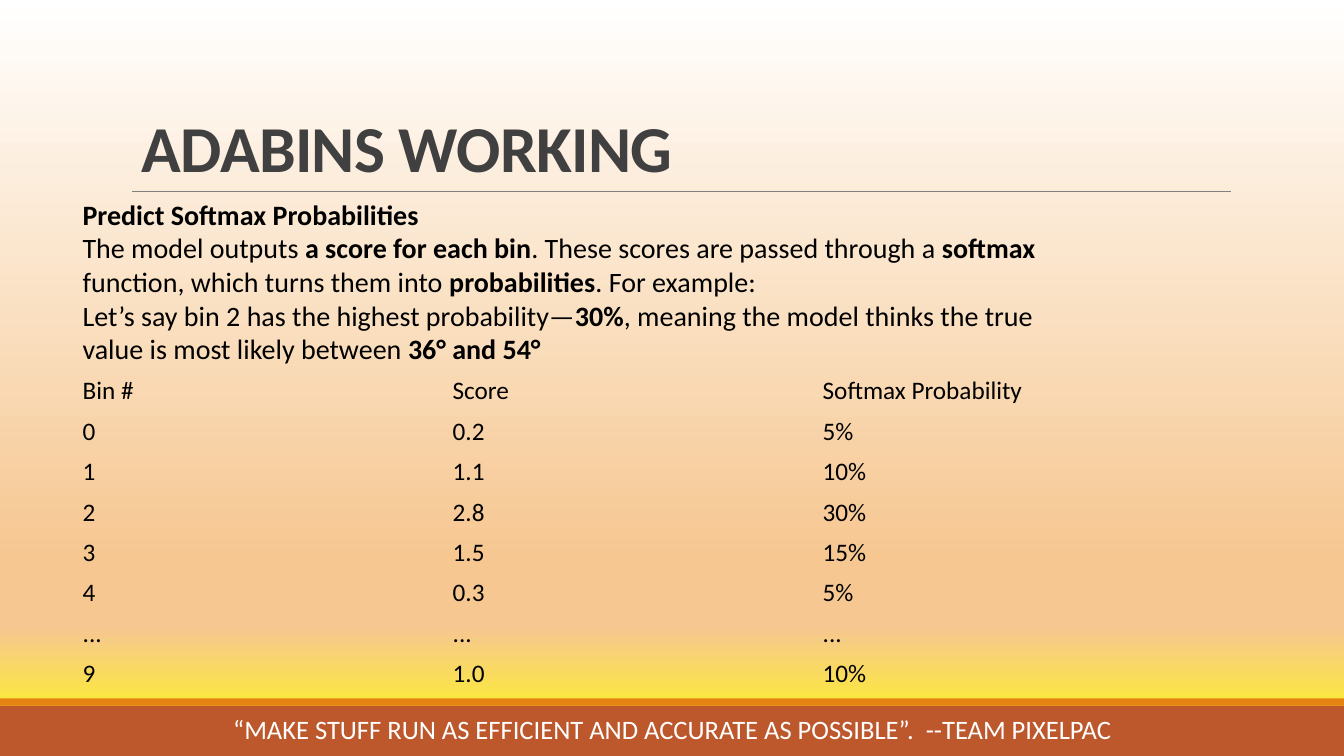
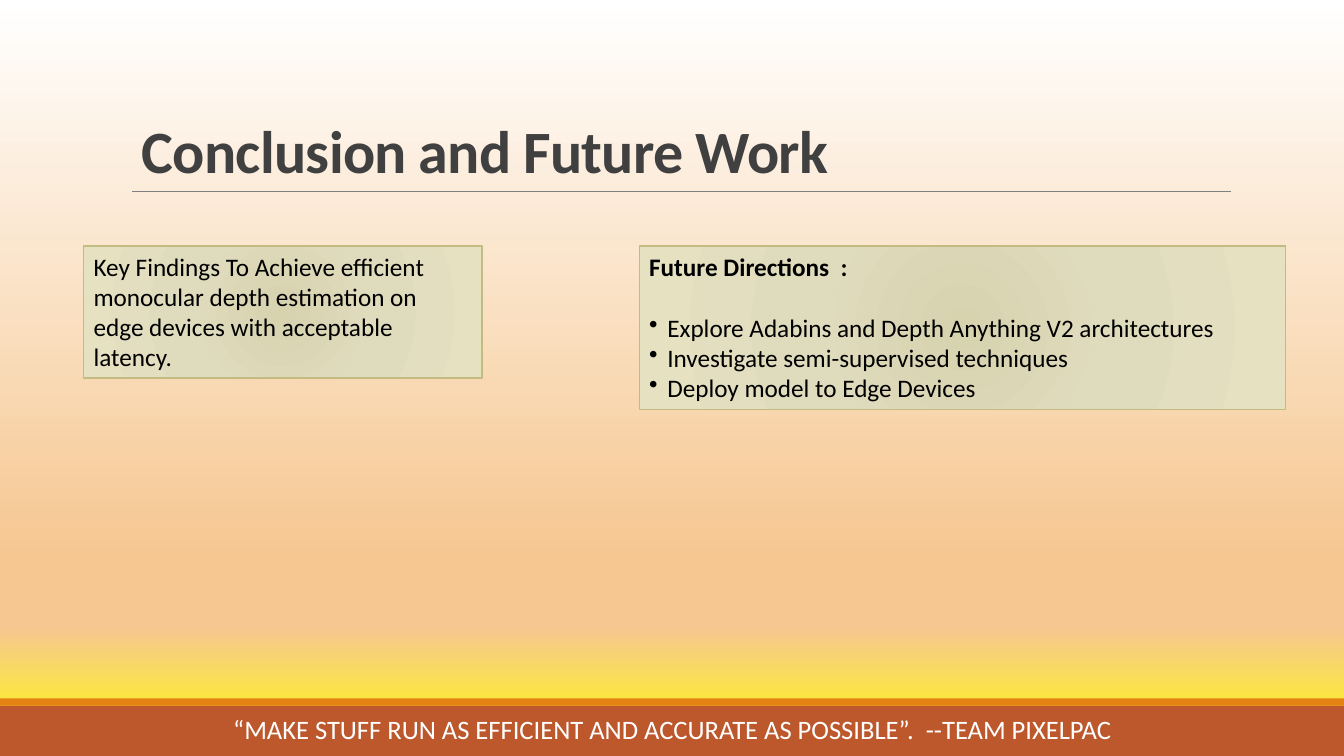
from lxml import etree
from pptx import Presentation
from pptx import util as u
from pptx.dml.color import RGBColor
from pptx.enum import shapes, text
from pptx.oxml.ns import qn

PX = 9144  # 100 px to the inch
FONT = "Calibri"
WIDTH, HEIGHT = 1333, 750

BLACK, WHITE, TITLE_GREY, RULE_GREY = "000000", "FFFFFF", "404040", "808080"
BAND, BAND_EDGE, CARD_EDGE = "BD582C", "E48312", "C2BC80"
SUNSET = [(0, "FFFFFF"), (74, "F6C791"), (83, "F6C791"), (100, "FFFF00")]
CARD_GLOW = [(0, "D7D3AF"), (45, "DFDBBD"), (100, "E5E1C1")]
PLAIN_TABLE = "{2D5ABB26-0587-4C30-8999-92F81FD0307C}"

MOTTO = "“MAKE STUFF RUN AS EFFICIENT AND ACCURATE AS POSSIBLE”.  --TEAM PIXELPAC"
SOFTMAX_NOTES = [
    "**Predict Softmax Probabilities**",
    "The model outputs **a score for each bin**. These scores are passed through "
    "a **softmax** function, which turns them into **probabilities**. For example:",
    "Let’s say bin 2 has the highest probability—**30%**, meaning the model thinks "
    "the true value is most likely between **36° and 54°**",
]
BIN_SCORES = [
    ("Bin #", "Score", "Softmax Probability"),
    ("0", "0.2", "5%"),
    ("1", "1.1", "10%"),
    ("2", "2.8", "30%"),
    ("3", "1.5", "15%"),
    ("4", "0.3", "5%"),
    ("...", "...", "..."),
    ("9", "1.0", "10%"),
]
KEY_FINDINGS = ("Key Findings To Achieve efficient monocular depth estimation on "
                "edge devices with acceptable latency.")
FUTURE_DIRECTIONS = [
    "Explore Adabins and Depth Anything V2 architectures",
    "Investigate semi-supervised techniques",
    "Deploy model to Edge Devices",
]


def px(*lengths):
    return [u.Emu(length * PX) for length in lengths]


def color(value):
    return RGBColor.from_string(value)


# Fills
def set_gradient(fill, owner, stops, radial=False):
    """Give the fill of a slide background or shape its own gradient stops."""
    fill.gradient()
    gradient = owner.element.find(".//" + qn("a:gradFill"))
    for child in list(gradient):
        gradient.remove(child)
    stop_list = etree.SubElement(gradient, qn("a:gsLst"))
    for position, value in stops:
        stop = etree.SubElement(stop_list, qn("a:gs"), pos=str(position * 1000))
        etree.SubElement(stop, qn("a:srgbClr"), val=value)
    if radial:
        course = etree.SubElement(gradient, qn("a:path"), path="circle")
        etree.SubElement(course, qn("a:fillToRect"), dict.fromkeys("ltrb", "100000"))
    else:
        etree.SubElement(gradient, qn("a:lin"), ang="5400000", scaled="0")


# Text
def write(frame, lines, size, ink=BLACK, align=text.PP_ALIGN.LEFT):
    """Fill a frame with paragraphs; **marks** enclose bold words."""
    for index, line in enumerate(lines):
        paragraph = frame.add_paragraph() if index else frame.paragraphs[0]
        paragraph.alignment = align
        font = paragraph.font
        font.name, font.size, font.color.rgb = FONT, u.Pt(size), color(ink)
        for part, words in enumerate(line.split("**")):
            if words:
                run = paragraph.add_run()
                run.text = words
                run.font.bold = part % 2 == 1
    return frame.paragraphs


def add_text(slide, box, lines, size, anchor=text.MSO_ANCHOR.MIDDLE, grow=False, **style):
    frame = slide.shapes.add_textbox(*px(*box)).text_frame
    frame.word_wrap = True
    frame.vertical_anchor = anchor
    if grow:
        frame.auto_size = text.MSO_AUTO_SIZE.SHAPE_TO_FIT_TEXT
    return write(frame, lines, size, **style)


def add_bullet(paragraph, indent):
    properties = paragraph._p.get_or_add_pPr()
    properties.set("marL", str(indent * PX))
    properties.set("indent", str(-indent * PX))
    bullet = etree.Element(qn("a:buChar"), char="•")
    properties.find(qn("a:defRPr")).addprevious(bullet)


# Shapes
def add_rectangle(slide, box):
    rectangle = slide.shapes.add_shape(shapes.MSO_SHAPE.RECTANGLE, *px(*box))
    rectangle.shadow.inherit = False
    return rectangle


def add_band(slide, top, height, fill):
    band = add_rectangle(slide, (0, top, WIDTH, height))
    band.fill.solid()
    band.fill.fore_color.rgb = color(fill)
    band.line.fill.background()


def add_rule(slide, left, right, y):
    rule = slide.shapes.add_connector(shapes.MSO_CONNECTOR.STRAIGHT, *px(left, y, right, y))
    rule.line.color.rgb = color(RULE_GREY)
    rule.line.width = u.Pt(0.5)
    etree.SubElement(rule.element.spPr, qn("a:effectLst"))


def add_card(slide, box, lines):
    card = add_rectangle(slide, box)
    set_gradient(card.fill, card, CARD_GLOW, radial=True)
    card.line.color.rgb = color(CARD_EDGE)
    card.line.width = u.Pt(1)
    frame = card.text_frame
    frame.word_wrap = True
    frame.vertical_anchor = text.MSO_ANCHOR.TOP
    frame.auto_size = text.MSO_AUTO_SIZE.SHAPE_TO_FIT_TEXT
    return write(frame, lines, 18)


def add_plain_table(slide, left, top, column_width, row_height, rows):
    columns = len(rows[0])
    box = px(left, top, column_width * columns, row_height * len(rows))
    table = slide.shapes.add_table(len(rows), columns, *box).table
    table.first_row = table.horz_banding = False
    table._tbl.tblPr.find(qn("a:tableStyleId")).text = PLAIN_TABLE
    for row, values in zip(table.rows, rows):
        for cell, value in zip(row.cells, values):
            cell.fill.background()
            cell.vertical_anchor = text.MSO_ANCHOR.MIDDLE
            write(cell.text_frame, [value], 18)


# Slides
def add_slide(deck, title, title_size):
    """Start a slide with the shared background, bands, title and footer."""
    slide = deck.slides.add_slide(deck.slide_layouts[6])
    set_gradient(slide.background.fill, slide, SUNSET)
    add_band(slide, 700, 50, BAND)
    add_band(slide, 693, 7, BAND_EDGE)
    add_rule(slide, 131, 1221, 190)
    heading = add_text(slide, (131, 46, 1119, 143), [f"**{title}**"], title_size,
                       anchor=text.MSO_ANCHOR.BOTTOM, ink=TITLE_GREY)[0]
    heading.line_spacing = 0.85
    heading.runs[0].font._element.set("spc", "-50")
    add_text(slide, (219, 701, 896, 45), [MOTTO], 19, ink=WHITE, align=text.PP_ALIGN.CENTER)
    return slide


def add_working_slide(deck):
    slide = add_slide(deck, "ADABINS WORKING", 46.8)
    add_plain_table(slide, 72, 368, 367, 40, BIN_SCORES)
    add_text(slide, (72, 190, 1002, 178), SOFTMAX_NOTES, 20, grow=True)


def add_conclusion_slide(deck):
    slide = add_slide(deck, "Conclusion and Future Work", 42.9)
    add_card(slide, (83, 244, 395, 131), [KEY_FINDINGS])
    heading, *directions = add_card(slide, (634, 244, 641, 162),
                                    ["**Future Directions  :**", *FUTURE_DIRECTIONS])
    heading.space_after = u.Pt(22)
    for direction in directions:
        add_bullet(direction, 18)


def main():
    deck = Presentation()
    deck.slide_width, deck.slide_height = px(WIDTH, HEIGHT)
    add_working_slide(deck)
    add_conclusion_slide(deck)
    deck.save("out.pptx")


if __name__ == "__main__":
    main()
